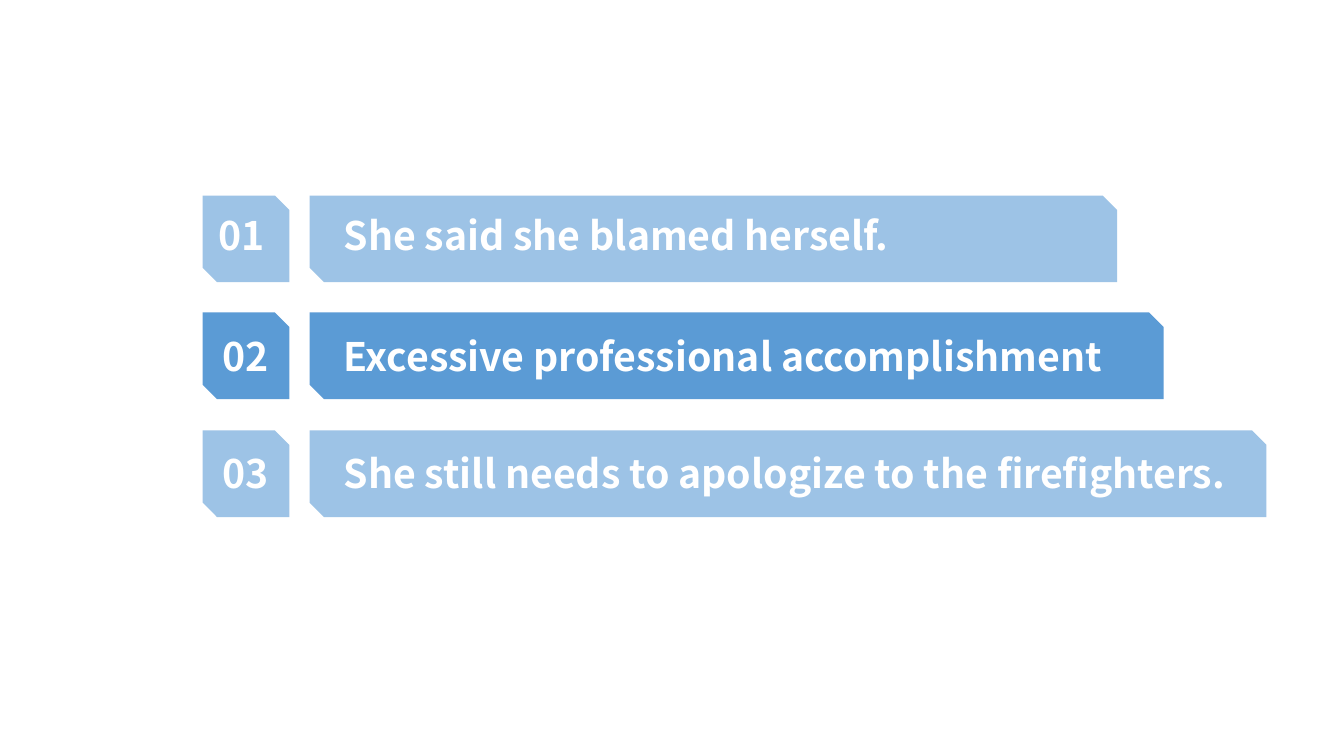
from dataclasses import dataclass

from pptx import Presentation
from pptx import util as u
from pptx.dml.color import RGBColor
from pptx.enum import shapes, text
from pptx.slide import Slide

PX = 9144  # EMU per px, 100 px to the inch
COLOURS = {"light": "9DC3E6", "strong": "5B9BD5", "text": "FFFFFF"}
FONT = {"name": "Noto Sans CJK SC", "size": u.Pt(28), "bold": True}
FRAME = {"word_wrap": False, "auto_size": text.MSO_AUTO_SIZE.SHAPE_TO_FIT_TEXT}

TILE_LEFT, BAR_LEFT, SIDE = 201, 307, 86
CAPTION_LEFT, NUMBER_WIDTH, TEXT_HEIGHT = 331, 68, 57


@dataclass(frozen=True)
class Entry:
    number: str
    caption: str
    colour: str
    top: int
    bar_width: int
    text_top: int
    number_left: int
    caption_width: int


ENTRIES = [
    Entry("01", "She said she blamed herself.", "light",
          194, 801, 205, 207, 572),
    Entry("02", "Excessive professional accomplishment", "strong",
          310, 847, 325, 211, 786),
    Entry("03", "She still needs to apologize to the firefighters.", "light",
          427, 949, 441, 211, 925),
]


def add_snipped(page: Slide, left: int, top: int, width: int, colour: str) -> None:
    """Draw a plain block with two opposite corners cut off."""
    block = page.shapes.add_shape(
        shapes.MSO_SHAPE.SNIP_2_DIAG_RECTANGLE,
        left * PX, top * PX, width * PX, SIDE * PX)
    block.shadow.inherit = False
    block.fill.solid()
    block.fill.fore_color.rgb = RGBColor.from_string(COLOURS[colour])
    block.line.fill.background()


def add_label(page: Slide, words: str, left: int, top: int, width: int) -> None:
    box = page.shapes.add_textbox(left * PX, top * PX, width * PX, TEXT_HEIGHT * PX)
    for key, value in FRAME.items():
        setattr(box.text_frame, key, value)
    span = box.text_frame.paragraphs[0].add_run()
    span.text = words
    for key, value in FONT.items():
        setattr(span.font, key, value)
    span.font.color.rgb = RGBColor.from_string(COLOURS["text"])


def add_entry(page: Slide, entry: Entry) -> None:
    add_snipped(page, TILE_LEFT, entry.top, SIDE, entry.colour)
    add_snipped(page, BAR_LEFT, entry.top, entry.bar_width, entry.colour)
    add_label(page, entry.number, entry.number_left, entry.text_top, NUMBER_WIDTH)
    add_label(page, entry.caption, CAPTION_LEFT, entry.text_top, entry.caption_width)


def main() -> None:
    deck = Presentation()
    deck.slide_width, deck.slide_height = u.Inches(13.33), u.Inches(7.5)
    page = deck.slides.add_slide(deck.slide_layouts[6])
    for entry in ENTRIES:
        add_entry(page, entry)
    deck.save("out.pptx")


if __name__ == "__main__":
    main()
